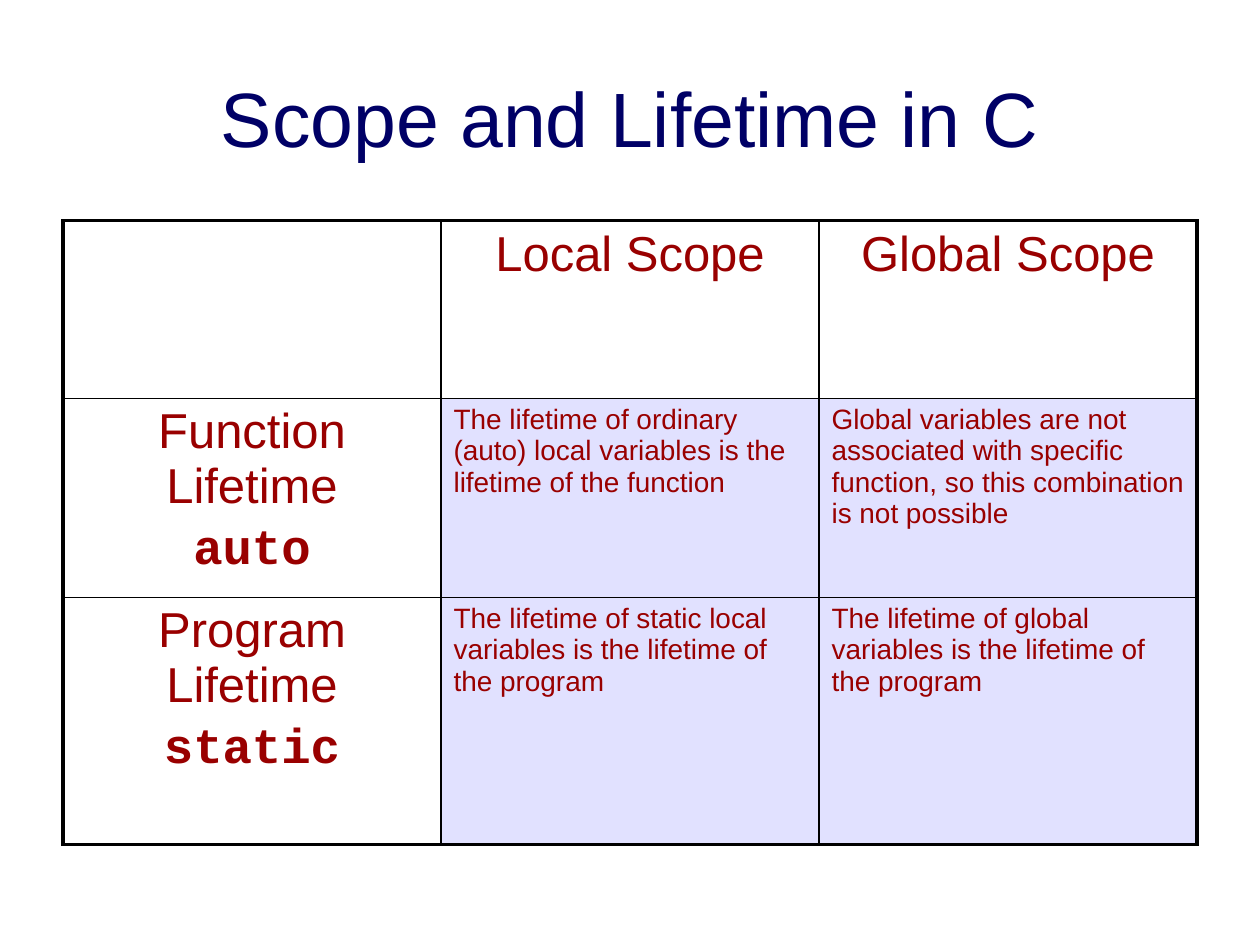
from dataclasses import dataclass
from itertools import accumulate

from lxml.etree import SubElement
from pptx import Presentation
from pptx.dml.color import RGBColor
from pptx.enum.shapes import MSO_SHAPE
from pptx.enum.text import MSO_ANCHOR, PP_ALIGN
from pptx.oxml.ns import qn
from pptx.slide import Slide
from pptx.table import _Cell
from pptx.text.text import _Paragraph
from pptx.util import Cm, Pt


@dataclass(frozen=True)
class Theme:
    title_color: RGBColor = RGBColor(0x00, 0x00, 0x66)
    text_color: RGBColor = RGBColor(0x99, 0x00, 0x00)
    tint: RGBColor = RGBColor(0xE1, 0xE1, 0xFF)
    border: str = "000000"
    font: str = "Arial"
    code_font: str = "Courier New"
    title_size: float = 44
    heading_size: float = 28
    body_size: float = 16
    space_ratio: float = 0.2
    outer_line: float = 2.25
    inner_line: float = 1


@dataclass(frozen=True)
class Entry:
    text: str = ""
    keyword: str = ""
    heading: bool = True


THEME = Theme()
TABLE_LEFT, TABLE_TOP = 1.27, 4.45
COLUMN_WIDTHS = [7.62] * 3
ROW_HEIGHTS = [3.58, 4.01, 4.98]
ENTRIES = [
    [Entry(), Entry("Local Scope"), Entry("Global Scope")],
    [
        Entry("Function Lifetime", keyword="auto"),
        Entry("The lifetime of ordinary (auto) local variables is the lifetime of the function", heading=False),
        Entry(
            "Global variables are not associated with specific function, so this combination is not possible",
            heading=False,
        ),
    ],
    [
        Entry("Program Lifetime", keyword="static"),
        Entry("The lifetime of static local variables is the lifetime of the program", heading=False),
        Entry("The lifetime of global variables is the lifetime of the program", heading=False),
    ],
]


def add_run(paragraph: _Paragraph, text: str, size: float, color: RGBColor, code: bool = False) -> None:
    run = paragraph.add_run()
    run.text = text
    run.font.size = Pt(size)
    run.font.name = THEME.code_font if code else THEME.font
    run.font.bold = code
    run.font.color.rgb = color


def add_title(slide: Slide, text: str) -> None:
    shape = slide.shapes.add_textbox(Cm(1.27), Cm(0.76), Cm(22.86), Cm(3.18))
    frame = shape.text_frame
    frame.word_wrap = True
    frame.vertical_anchor = MSO_ANCHOR.MIDDLE
    paragraph = frame.paragraphs[0]
    paragraph.alignment = PP_ALIGN.CENTER
    add_run(paragraph, text, THEME.title_size, THEME.title_color)


def add_tints(slide: Slide) -> None:
    lefts = list(accumulate(COLUMN_WIDTHS, initial=TABLE_LEFT))
    tops = list(accumulate(ROW_HEIGHTS, initial=TABLE_TOP))
    for row, entries in enumerate(ENTRIES):
        for column, entry in enumerate(entries):
            if entry.heading:
                continue
            shape = slide.shapes.add_shape(
                MSO_SHAPE.RECTANGLE,
                Cm(lefts[column]), Cm(tops[row]), Cm(COLUMN_WIDTHS[column]), Cm(ROW_HEIGHTS[row]),
            )
            shape.shadow.inherit = False
            shape.fill.solid()
            shape.fill.fore_color.rgb = THEME.tint
            shape.line.fill.background()


def set_borders(cell: _Cell, outer_edges: dict[str, bool]) -> None:
    properties = cell._tc.get_or_add_tcPr()
    for edge, outer in outer_edges.items():
        width = THEME.outer_line if outer else THEME.inner_line
        line = SubElement(properties, qn(f"a:ln{edge}"), w=str(Pt(width)))
        fill = SubElement(line, qn("a:solidFill"))
        SubElement(fill, qn("a:srgbClr"), val=THEME.border)


def fill_cell(cell: _Cell, entry: Entry) -> None:
    cell.fill.background()
    size = THEME.heading_size if entry.heading else THEME.body_size
    frame = cell.text_frame
    for index, text in enumerate(filter(None, (entry.text, entry.keyword))):
        paragraph = frame.add_paragraph() if index else frame.paragraphs[0]
        paragraph.alignment = PP_ALIGN.CENTER if entry.heading else PP_ALIGN.LEFT
        paragraph.space_before = Pt(size * THEME.space_ratio)
        add_run(paragraph, text, size, THEME.text_color, code=index > 0)


def add_scope_table(slide: Slide) -> None:
    last_row, last_column = len(ROW_HEIGHTS) - 1, len(COLUMN_WIDTHS) - 1
    table = slide.shapes.add_table(
        len(ROW_HEIGHTS), len(COLUMN_WIDTHS),
        Cm(TABLE_LEFT), Cm(TABLE_TOP), Cm(sum(COLUMN_WIDTHS)), Cm(sum(ROW_HEIGHTS)),
    ).table
    table.first_row = False
    table.horz_banding = False
    for column, width in zip(table.columns, COLUMN_WIDTHS):
        column.width = Cm(width)
    for row, height in zip(table.rows, ROW_HEIGHTS):
        row.height = Cm(height)
    for row, entries in enumerate(ENTRIES):
        for column, entry in enumerate(entries):
            cell = table.cell(row, column)
            set_borders(cell, {
                "L": column == 0, "R": column == last_column,
                "T": row == 0, "B": row == last_row,
            })
            fill_cell(cell, entry)


def main() -> None:
    presentation = Presentation()
    presentation.slide_width, presentation.slide_height = Cm(25.4), Cm(19.05)
    slide = presentation.slides.add_slide(presentation.slide_layouts[6])
    add_tints(slide)
    add_title(slide, "Scope and Lifetime in C")
    add_scope_table(slide)
    presentation.save("out.pptx")


if __name__ == "__main__":
    main()
